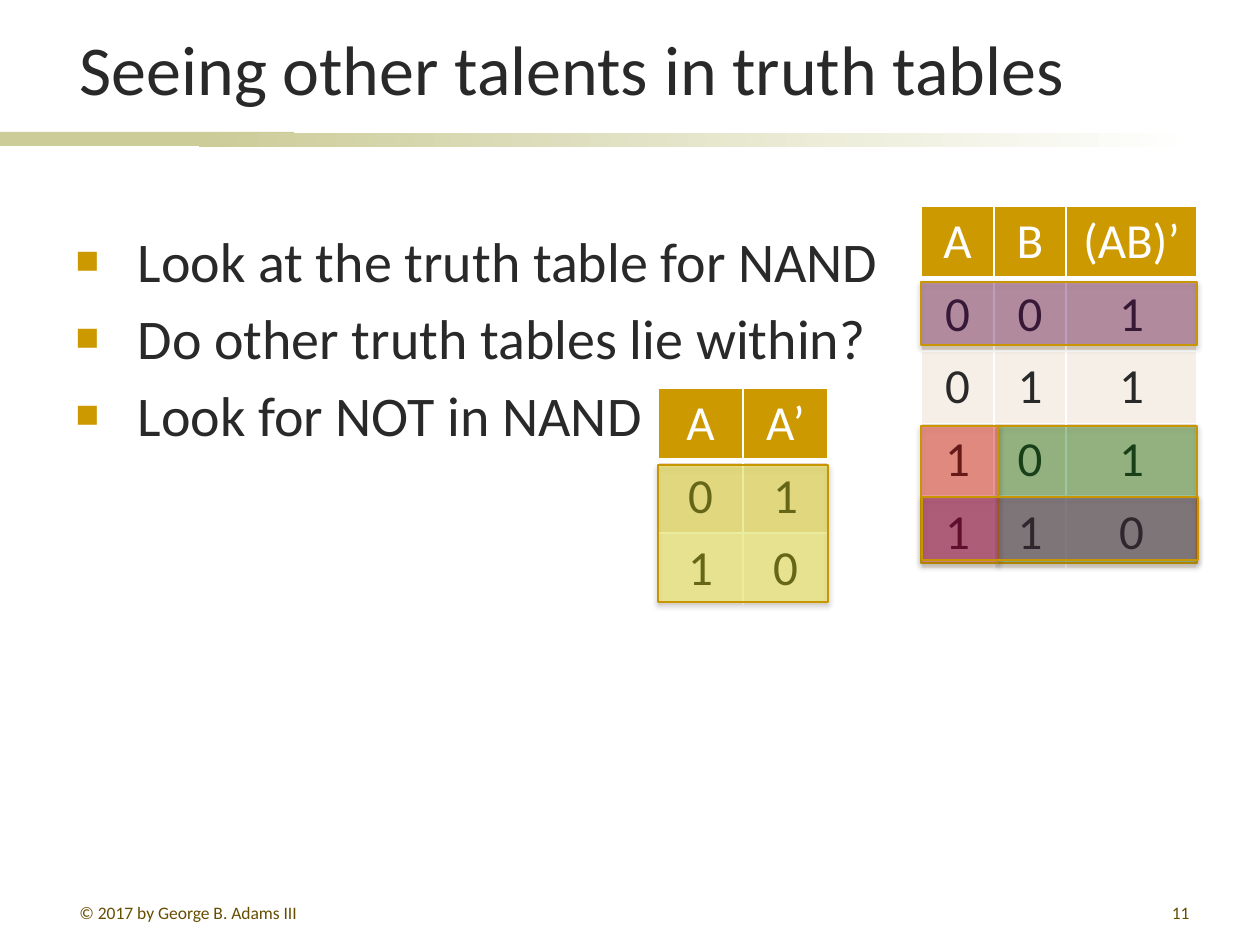
from typing import NamedTuple

from lxml import etree
from pptx import Presentation
from pptx.dml.color import RGBColor
from pptx.enum.shapes import MSO_SHAPE
from pptx.enum.text import MSO_ANCHOR, MSO_AUTO_SIZE, PP_ALIGN
from pptx.oxml.ns import qn
from pptx.util import Pt

RECTANGLE = MSO_SHAPE.RECTANGLE
LEFT, CENTER, RIGHT = PP_ALIGN.LEFT, PP_ALIGN.CENTER, PP_ALIGN.RIGHT
TOP, BOTTOM = MSO_ANCHOR.TOP, MSO_ANCHOR.BOTTOM
NO_AUTOFIT = MSO_AUTO_SIZE.NONE

PIXEL = 914400 // 126
FONT = "Calibri"
INK = RGBColor(0x29, 0x29, 0x29)
WHITE = RGBColor(0xFF, 0xFF, 0xFF)
BLACK = RGBColor(0, 0, 0)
GOLD = RGBColor(0xCC, 0x99, 0x00)
OUTLINE = RGBColor(0xC8, 0x96, 0x00)
SAGE = RGBColor(0xCC, 0xCC, 0x99)
BROWN = RGBColor(0x66, 0x4D, 0x00)
ROW_FILLS = (RGBColor(0xF6, 0xEF, 0xE7), RGBColor(0xEC, 0xDE, 0xCC))
YELLOW = RGBColor(0xFF, 0xFF, 0x00)
GREEN = RGBColor(0x00, 0x80, 0x00)
RED = RGBColor(0xFF, 0x00, 0x00)
PURPLE = RGBColor(0x66, 0x00, 0x66)


class Box(NamedTuple):
    """A rectangle in pixels."""
    left: int
    top: int
    width: int
    height: int

    def emu(self) -> list[int]:
        """Return the rectangle in EMU."""
        return [length * PIXEL for length in self]


class TruthTable(NamedTuple):
    """Position, column widths and rows of a truth table."""
    left: int
    top: int
    columns: tuple[int, ...]
    rows: tuple[tuple[str, ...], ...]


class Highlight(NamedTuple):
    """A translucent overlay on table cells."""
    box: Box
    color: RGBColor


class Footer(NamedTuple):
    """A line of footer text."""
    box: Box
    text: str
    alignment: PP_ALIGN


ROW_HEIGHT = 72
TITLE_BOX = Box(67, 14, 1135, 102)
BODY_BOX = Box(63, 220, 1134, 624)
BULLETS = (
    "Look at the truth table for NAND",
    "Do other truth tables lie within?",
    "Look for NOT in NAND",
)
TABLES = (
    TruthTable(921, 206, (73, 72, 131), (
        ("A", "B", "(AB)’"), ("0", "0", "1"), ("0", "1", "1"),
        ("1", "0", "1"), ("1", "1", "0"))),
    TruthTable(658, 388, (85, 85), (("A", "A’"), ("0", "1"), ("1", "0"))),
)
HIGHLIGHTS = (
    Highlight(Box(658, 465, 170, 137), YELLOW),
    Highlight(Box(998, 426, 199, 137), GREEN),
    Highlight(Box(921, 426, 77, 137), RED),
    Highlight(Box(921, 282, 276, 63), PURPLE),
    Highlight(Box(922, 497, 276, 63), PURPLE),
)
FOOTERS = (
    Footer(Box(67, 896, 273, 26), "© 2017 by George B. Adams III", LEFT),
    Footer(Box(940, 896, 262, 26), "11", RIGHT),
)


def apply(target, formats: dict) -> None:
    """Set each named attribute of the target."""
    for name, value in formats.items():
        setattr(target, name, value)


def add_element(parent, tag: str, **attributes):
    """Append a DrawingML element and return it."""
    return etree.SubElement(parent, qn(f"a:{tag}"), attributes)


def write(paragraph, text: str, size: int, color: RGBColor, alignment=LEFT) -> None:
    """Write one formatted run into a paragraph."""
    paragraph.alignment = alignment
    run = paragraph.add_run()
    run.text = text
    apply(run.font, {"name": FONT, "size": Pt(size), "bold": False})
    run.font.color.rgb = color


def place(shape, box: Box, anchor) -> None:
    """Move a text shape and fix its frame."""
    apply(shape, dict(zip(("left", "top", "width", "height"), box.emu())))
    apply(shape.text_frame, {"word_wrap": True, "auto_size": NO_AUTOFIT,
                             "vertical_anchor": anchor})


def add_rectangle(slide, box: Box):
    """Add a rectangle without line or shadow."""
    shape = slide.shapes.add_shape(RECTANGLE, *box.emu())
    shape.shadow.inherit = False
    shape.line.fill.background()
    return shape


def add_divider(slide) -> None:
    """Draw the solid and fading bands under the title."""
    solid = add_rectangle(slide, Box(0, 132, 294, 14))
    solid.fill.solid()
    solid.fill.fore_color.rgb = SAGE
    fading = add_rectangle(slide, Box(199, 133, 998, 14))
    fading.fill.gradient()
    fading.fill.gradient_angle = 0
    for stop, color in zip(fading.fill.gradient_stops, (SAGE, WHITE)):
        stop.color.rgb = color


def add_bullets(body) -> None:
    """Fill the body placeholder with square bullets."""
    for index, text in enumerate(BULLETS):
        frame = body.text_frame
        paragraph = frame.add_paragraph() if index else frame.paragraphs[0]
        write(paragraph, text, 32, INK)
        paragraph.space_before = Pt(5.7)
        properties = paragraph._p.get_or_add_pPr()
        properties.set("marL", str(62 * PIXEL))
        properties.set("indent", str(-62 * PIXEL))
        add_element(add_element(properties, "buClr"), "srgbClr", val=str(GOLD))
        add_element(properties, "buSzPct", val="70000")
        add_element(properties, "buChar", char="■")


def set_borders(cell, row: int) -> None:
    """Give a cell white borders, heavier below the header."""
    properties = cell._tc.get_or_add_tcPr()
    widths = {"lnL": 1, "lnR": 1, "lnT": 3 if row == 1 else 1,
              "lnB": 3 if row == 0 else 1}
    for tag, width in widths.items():
        line = add_element(properties, tag, w=str(Pt(width)))
        add_element(add_element(line, "solidFill"), "srgbClr", val=str(WHITE))


def add_truth_table(slide, data: TruthTable) -> None:
    """Draw a truth table with a gold header."""
    box = Box(data.left, data.top, sum(data.columns), ROW_HEIGHT * len(data.rows))
    table = slide.shapes.add_table(len(data.rows), len(data.columns), *box.emu()).table
    table.horz_banding = False
    for column, width in zip(table.columns, data.columns):
        column.width = width * PIXEL
    for row, values in enumerate(data.rows):
        for column, value in enumerate(values):
            cell = table.cell(row, column)
            set_borders(cell, row)
            cell.fill.solid()
            cell.fill.fore_color.rgb = ROW_FILLS[row % 2] if row else GOLD
            write(cell.text_frame.paragraphs[0], value, 28,
                  INK if row else WHITE, CENTER)


def add_highlight(slide, highlight: Highlight) -> None:
    """Draw a translucent outlined box with a soft shadow."""
    shape = add_rectangle(slide, highlight.box)
    shape.fill.solid()
    shape.fill.fore_color.rgb = highlight.color
    shape.line.color.rgb = OUTLINE
    shape.line.width = Pt(0.75)
    properties = shape._element.spPr
    add_element(properties.find(qn("a:solidFill"))[0], "alpha", val="30000")
    shadow = add_element(properties.find(qn("a:effectLst")), "outerShdw",
                         blurRad="40000", dist="23000", dir="5400000", rotWithShape="0")
    color = add_element(shadow, "srgbClr", val=str(BLACK))
    add_element(color, "alpha", val="35000")


def add_footer(slide, footer: Footer) -> None:
    """Add one footer text box."""
    shape = slide.shapes.add_textbox(*footer.box.emu())
    place(shape, footer.box, TOP)
    write(shape.text_frame.paragraphs[0], footer.text, 10, BROWN, footer.alignment)


def main() -> None:
    """Build and save the slide."""
    presentation = Presentation()
    apply(presentation, {"slide_width": 1260 * PIXEL, "slide_height": 945 * PIXEL})
    slide = presentation.slides.add_slide(presentation.slide_layouts[1])
    title, body = slide.placeholders
    add_divider(slide)
    place(title, TITLE_BOX, BOTTOM)
    write(title.text_frame.paragraphs[0], "Seeing other talents in truth tables", 40, INK)
    place(body, BODY_BOX, TOP)
    add_bullets(body)
    for table in TABLES:
        add_truth_table(slide, table)
    for highlight in HIGHLIGHTS:
        add_highlight(slide, highlight)
    for footer in FOOTERS:
        add_footer(slide, footer)
    presentation.save("out.pptx")


main()
